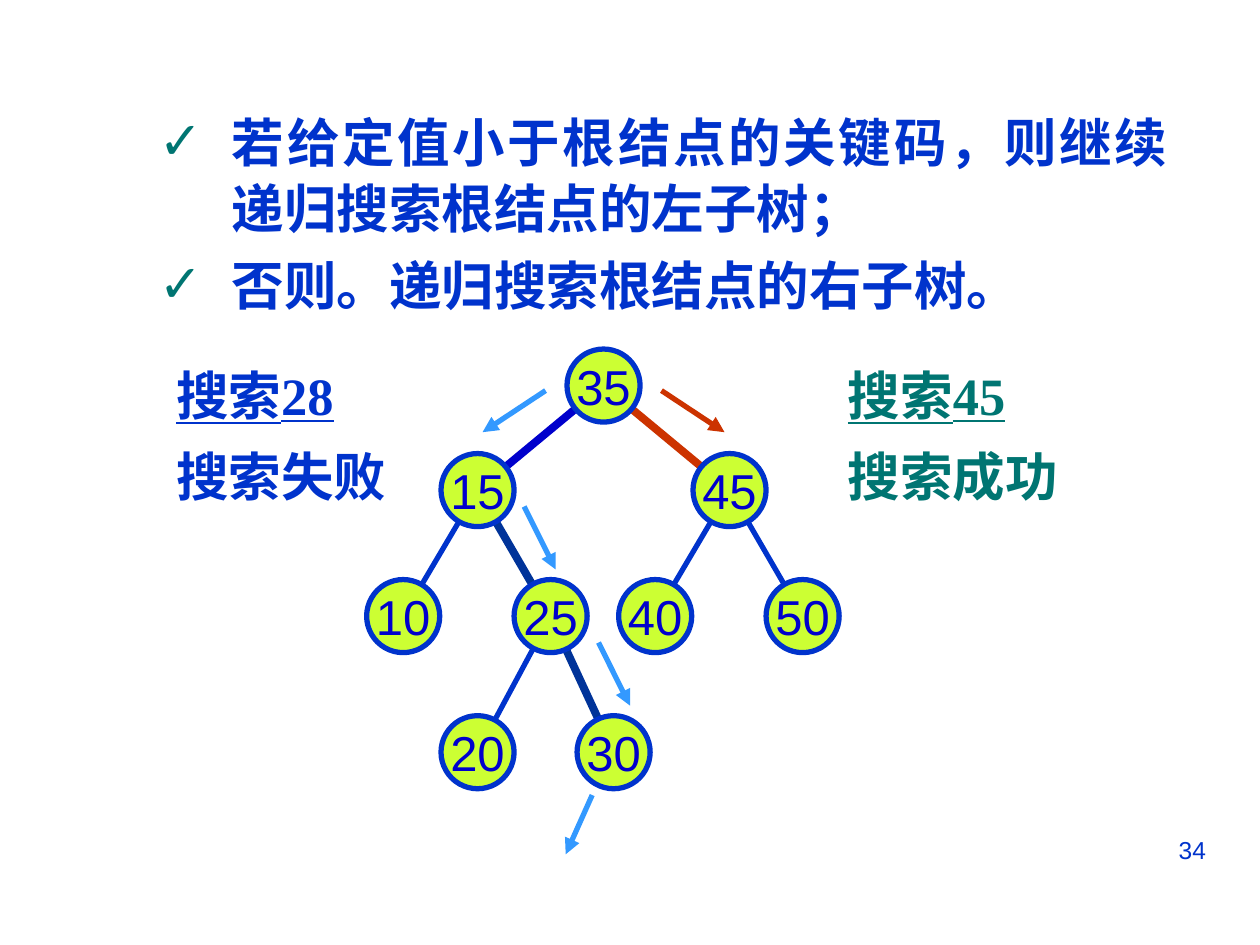
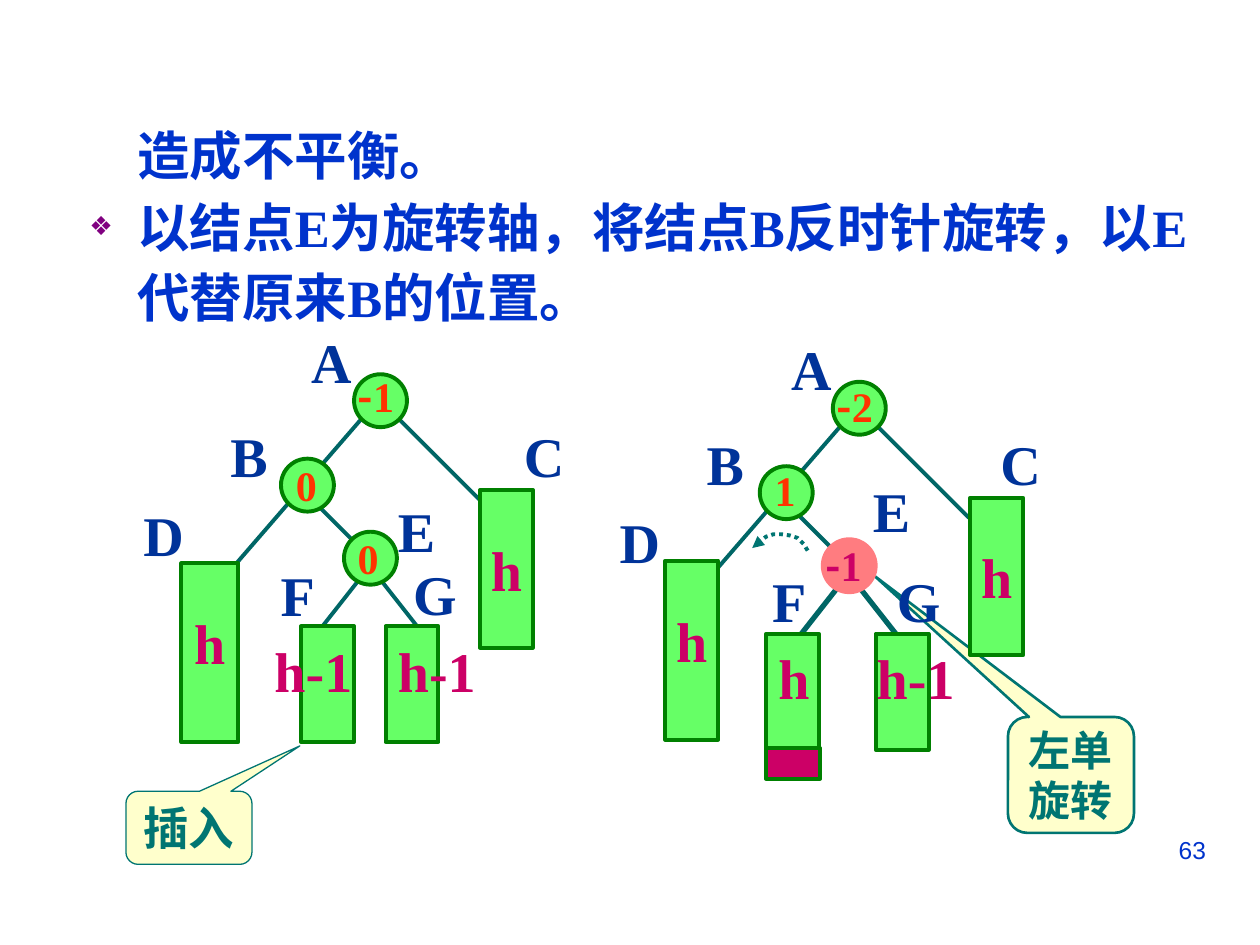
from math import hypot

from lxml import etree
from pptx import Presentation
from pptx.dml.color import RGBColor
from pptx.enum.dml import MSO_LINE
from pptx.enum.shapes import MSO_CONNECTOR, MSO_SHAPE
from pptx.enum.text import MSO_ANCHOR as ANCHOR, MSO_AUTO_SIZE as FIT, PP_ALIGN as ALIGN
from pptx.oxml.ns import qn
from pptx.util import Inches, Pt

BLUE = RGBColor(0x00, 0x33, 0xCC)
NAVY = RGBColor(0x00, 0x33, 0x99)
DEEP = RGBColor(0x00, 0x00, 0xCC)
SKY = RGBColor(0x33, 0x99, 0xFF)
RUST = RGBColor(0xCC, 0x33, 0x00)
TEAL = RGBColor(0x00, 0x75, 0x72)
BRANCH = RGBColor(0x00, 0x66, 0x66)
PURPLE = RGBColor(0x80, 0x00, 0x80)
LIME = RGBColor(0xCC, 0xFF, 0x33)
GREEN = RGBColor(0x66, 0xFF, 0x66)
FOREST = RGBColor(0x00, 0x80, 0x00)
MAGENTA = RGBColor(0xCC, 0x00, 0x66)
ORANGE = RGBColor(0xFF, 0x33, 0x00)
SALMON = RGBColor(0xFF, 0x7C, 0x80)
CREAM = RGBColor(0xFF, 0xFF, 0xCC)

SANS, SERIF, CJK = "Arial", "Times New Roman", "Noto Sans CJK SC"
COLS, ROWS = 100, 75
CELL = Inches(10) // COLS


def cells(*lengths):
    return [round(n * CELL) for n in lengths]


class Deck:
    def __init__(self):
        self.prs = Presentation()
        self.prs.slide_width, self.prs.slide_height = cells(COLS, ROWS)
        self.s = None

    def slide(self, number):
        self.s = self.prs.slides.add_slide(self.prs.slide_layouts[1])
        title = self.s.shapes.title
        title.element.getparent().remove(title.element)
        self.text([str(number)], 71.7, 65.8, 25, 5.2, 14, BLUE, SANS,
                  bold=False, align=ALIGN.RIGHT, wrap=True)

    def put_lines(self, tf, lines, size, color, font=SERIF, bold=True,
                  align=ALIGN.LEFT, spacing=None, gap=0):
        for i, line in enumerate(lines):
            p = tf.paragraphs[0] if i == 0 else tf.add_paragraph()
            p.text = line
            p.alignment, p.line_spacing = align, spacing
            p.space_before = Pt(gap if i else 0)
            for r in p.runs:
                self.style(r, size, color, font, bold)

    def style(self, r, size, color, font, bold):
        r.font.size, r.font.bold, r.font.name = Pt(size), bold, font
        r.font.color.rgb = color
        ea = etree.SubElement(r.font._element, qn("a:ea"))
        ea.set("typeface", CJK)

    def text(self, lines, x, y, w, h, size, color, font=SERIF, wrap=False, **kw):
        tf = self.s.shapes.add_textbox(*cells(x, y, w, h)).text_frame
        tf.word_wrap = wrap
        tf.auto_size = FIT.NONE if wrap else FIT.SHAPE_TO_FIT_TEXT
        self.put_lines(tf, lines, size, color, font, **kw)
        return tf

    def body(self, x, y, w, h, lines, font, spacing, gap, align=ALIGN.LEFT, level=0):
        sp = self.s.placeholders[1]
        sp.left, sp.top, sp.width, sp.height = cells(x, y, w, h)
        tf = sp.text_frame
        tf.auto_size = FIT.NONE
        self.put_lines(tf, lines, 30, BLUE, font, True, align, spacing, gap)
        for p in tf.paragraphs:
            p.level = level
        return tf.paragraphs

    def bullet(self, p, margin, hang, char=None, color=None, share=100):
        pPr = p._p.get_or_add_pPr()
        left, indent = cells(margin, -hang)
        pPr.set("marL", str(left))
        pPr.set("indent", str(indent if char else 0))
        if not char:
            etree.SubElement(pPr, qn("a:buNone"))
            return
        clr = etree.SubElement(pPr, qn("a:buClr"))
        etree.SubElement(clr, qn("a:srgbClr")).set("val", str(color))
        etree.SubElement(pPr, qn("a:buSzPct")).set("val", str(share * 1000))
        etree.SubElement(pPr, qn("a:buFont")).set("typeface", SANS)
        etree.SubElement(pPr, qn("a:buChar")).set("char", char)

    def shape(self, kind, x, y, w, h, fill, line, width, lines=(), size=32,
              color=MAGENTA, **kw):
        sp = self.s.shapes.add_shape(kind, *cells(x, y, w, h))
        sp.shadow.inherit = False
        sp.fill.solid()
        sp.fill.fore_color.rgb = fill
        sp.line.color.rgb, sp.line.width = line, Pt(width)
        tf = sp.text_frame
        tf.word_wrap, tf.vertical_anchor = False, ANCHOR.MIDDLE
        self.put_lines(tf, lines, size, color, align=ALIGN.CENTER, **kw)
        return sp

    def circle(self, x, y, d, fill, line, width, lines=(), **kw):
        return self.shape(MSO_SHAPE.OVAL, x, y, d, d, fill, line, width, lines, **kw)

    def box(self, x, y, w, h, lines=(), fill=GREEN, **kw):
        return self.shape(MSO_SHAPE.RECTANGLE, x, y, w, h, fill, FOREST, 2.25, lines, **kw)

    def callout(self, x, y, w, h, tip, width, lines, size):
        sp = self.shape(MSO_SHAPE.ROUNDED_RECTANGULAR_CALLOUT, x, y, w, h, CREAM,
                        TEAL, width, lines, size, TEAL)
        sp.adjustments[0] = (tip[0] - x - w / 2) / w
        sp.adjustments[1] = (tip[1] - y - h / 2) / h

    def arrowhead(self, sp):
        ln = sp._element.spPr.get_or_add_ln()
        etree.SubElement(ln, qn("a:tailEnd")).set("type", "triangle")

    def line(self, start, end, color, width, arrow=False):
        cn = self.s.shapes.add_connector(MSO_CONNECTOR.STRAIGHT, *cells(*start, *end))
        cn.line.color.rgb, cn.line.width = color, Pt(width)
        if arrow:
            self.arrowhead(cn)
        etree.SubElement(cn._element.spPr, qn("a:effectLst"))

    def curve(self, points, color, width):
        first, *rest = [cells(*pt) for pt in points]
        fb = self.s.shapes.build_freeform(*first)
        fb.add_line_segments(rest, close=False)
        sp = fb.convert_to_shape()
        sp.shadow.inherit = False
        sp.fill.background()
        sp.line.color.rgb, sp.line.width = color, Pt(width)
        sp.line.dash_style = MSO_LINE.ROUND_DOT
        self.arrowhead(sp)


def search_slide(deck):
    deck.slide(34)
    for p in deck.body(6.6, 8, 87.1, 19.7,
                       ["若给定值小于根结点的关键码，则继续递归搜索根结点的左子树；",
                        "否则。递归搜索根结点的右子树。"],
                       SANS, 1.05, 6, ALIGN.JUSTIFY, 1):
        deck.bullet(p, 10.8, 5.8, "✓", TEAL)

    for x, color, lines in ((66.3, TEAL, ["搜索45", "搜索成功"]),
                            (13, BLUE, ["搜索28", "搜索失败"])):
        tf = deck.text(lines, x, 28.3, 18.8, 12.8, 30, color, gap=10.5)
        for r in tf.paragraphs[0].runs:
            r.font.underline = True

    d, inset = 5.8, 2.6
    nodes = {35: (45, 27.7), 15: (35, 36), 45: (55, 36), 50: (60.8, 46), 40: (49.1, 46),
             25: (40.8, 46), 10: (29.1, 46), 20: (35, 56.8), 30: (45.8, 56.8)}
    edges = [(35, 15, DEEP, 4.5), (35, 45, RUST, 4.5), (15, 10, BLUE, 3),
             (15, 25, NAVY, 4.5), (45, 40, BLUE, 3), (45, 50, BLUE, 3),
             (25, 20, BLUE, 3), (25, 30, NAVY, 4.5)]
    for parent, child, color, width in edges:
        (x1, y1), (x2, y2) = [(x + d / 2, y + d / 2) for x, y in (nodes[parent], nodes[child])]
        t = inset / hypot(x2 - x1, y2 - y1)
        dx, dy = t * (x2 - x1), t * (y2 - y1)
        deck.line((x1 + dx, y1 + dy), (x2 - dx, y2 - dy), color, width)
    for key, (x, y) in nodes.items():
        deck.circle(x, y, d, LIME, BLUE, 3, [str(key)], size=28, color=DEEP,
                    font=SANS, bold=False)
    for start, end, color in (((52.5, 31), (57.5, 34.3), RUST), ((43.3, 31), (38.3, 34.3), SKY),
                              ((41.6, 40.2), (44.1, 45.2), SKY), ((47.5, 51), (50, 56), SKY),
                              ((47, 63.1), (44.9, 67.8), SKY)):
        deck.line(start, end, color, 3, arrow=True)


LABEL_WIDTHS = {"A": 5.2, "B": 5, "C": 5.2, "D": 5.2, "E": 5, "F": 4.7, "G": 5.5,
                "h": 4.5, "h-1": 8.2}


def avl_tree(deck, dx, dy, pivot, leaf_width, boxes, labels, heights, balances):
    for x1, y1, x2, y2, width in ((31.4, 33, 38.9, 40.5, 2.25), (28.9, 33, 17.3, 46.4, 2.25),
                                  (24.8, 39.7, 29.8, 44.7, 2.25),
                                  (28.9, 45.5, 25.6, 49.7, leaf_width),
                                  (29.8, 45.5, 33.1, 49.7, leaf_width)):
        deck.line((x1 + dx, y1 + dy), (x2 + dx, y2 + dy), BRANCH, width)
    for x, y, w, h, lines, spacing in boxes:
        deck.box(x, y, w, h, lines, spacing=spacing)
    for x, y, fill, line in ((28.1, 29.7, GREEN, FOREST), (22.3, 36.4, GREEN, FOREST),
                             (27.3, 42.2, *pivot)):
        deck.circle(x + dx, y + dy, 4.2, fill, line, 2.25)
    for group, color in ((labels, NAVY), (heights, MAGENTA)):
        for name, x, y in group:
            deck.text([name], x, y, LABEL_WIDTHS[name], 6.3, 32, color)
    for value, x, y, color in balances:
        negative = value.startswith("-")
        tf = deck.text([value], x, y, 5.3 if negative else 3.7, 5, 24, color)
        if negative:
            p = tf.paragraphs[0]
            p.runs[0].text = "-"
            p.runs[0].font.name = CJK
            r = p.add_run()
            r.text = value[1:]
            deck.style(r, 24, color, SERIF, True)


def rotation_slide(deck):
    deck.slide(63)
    first, second = deck.body(6.1, 8.8, 90, 19,
                              ["造成不平衡。",
                               "以结点E为旋转轴，将结点B反时针旋转，以E代替原来B的位置。"],
                              SERIF, 1.1, 1.5)
    deck.bullet(first, 3.8, 3.8)
    deck.bullet(second, 3.8, 3.8, "❖", PURPLE, 50)

    deck.callout(10, 62.8, 10, 5.8, (23.8, 59.2), 0.75, ["插入"], 26)
    avl_tree(deck, 0, 0, (GREEN, FOREST), 2.25,
             [(38.1, 38.9, 4.2, 12.5, ["h"], None), (14.4, 44.7, 4.5, 14.2, ["h"], 0.6),
              (23.9, 49.7, 4.2, 9.2, [], None), (30.6, 49.7, 4.2, 9.2, [], None)],
             [("A", 23.7, 25.5), ("B", 17.3, 33), ("C", 40.6, 33), ("D", 10.4, 39.2),
              ("E", 30.6, 38.9), ("F", 21.3, 44), ("G", 31.8, 43.9)],
             [("h-1", 20.8, 50), ("h-1", 30.6, 50)],
             [("-1", 27.4, 28.9, ORANGE), ("0", 22.5, 36, ORANGE), ("0", 27.4, 41.8, ORANGE)])

    deck.callout(80, 56.9, 10, 9.2, (69.4, 45.7), 1.5, ["左单", "旋转"], 24)
    avl_tree(deck, 38, 0.6, (SALMON, SALMON), 3,
             [(77, 39.5, 4.2, 12.5, ["h"], None), (52.8, 44.5, 4.2, 14.2, ["h"], 0.6),
              (60.8, 50.3, 4.2, 9.2, [], None), (69.5, 50.3, 4.2, 9.2, [], None)],
             [("A", 61.8, 26.1), ("B", 55.1, 33.6), ("C", 78.4, 33.6), ("D", 48.2, 39.8),
              ("E", 68.3, 37.3), ("F", 60.3, 44.5), ("G", 70.2, 44.5)],
             [("h", 60.8, 50.6), ("h-1", 68.6, 50.6)],
             [("-2", 65.4, 29.7, ORANGE), ("1", 60.5, 36.4, ORANGE), ("-1", 64.5, 42.3, MAGENTA)])
    deck.box(60.8, 59.4, 4.3, 2.4, fill=MAGENTA)
    deck.curve([(64.1, 43.7), (63.8, 43.2), (63.3, 42.7), (62.7, 42.5), (62, 42.4),
                (61.4, 42.4), (60.8, 42.6), (60.3, 43), (59.7, 43.5)], TEAL, 2.25)


def main():
    deck = Deck()
    search_slide(deck)
    rotation_slide(deck)
    deck.prs.save("out.pptx")


if __name__ == "__main__":
    main()
